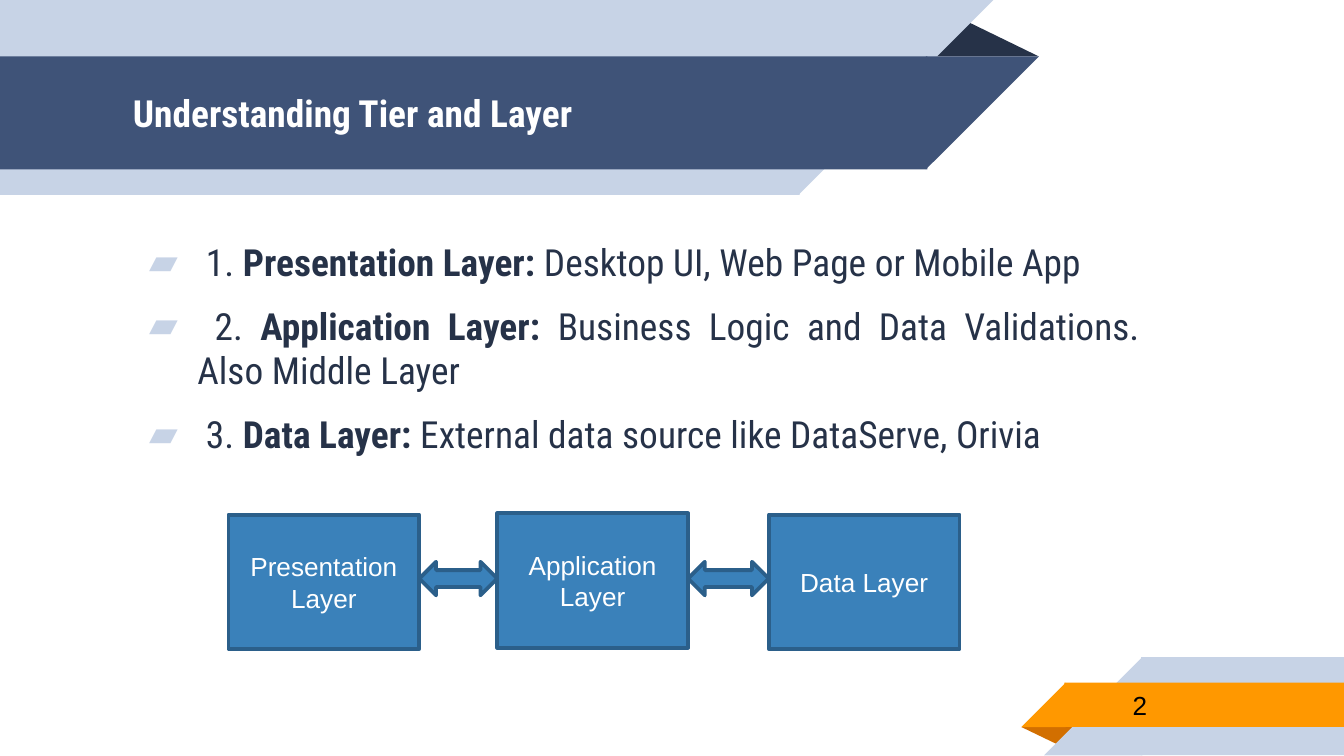
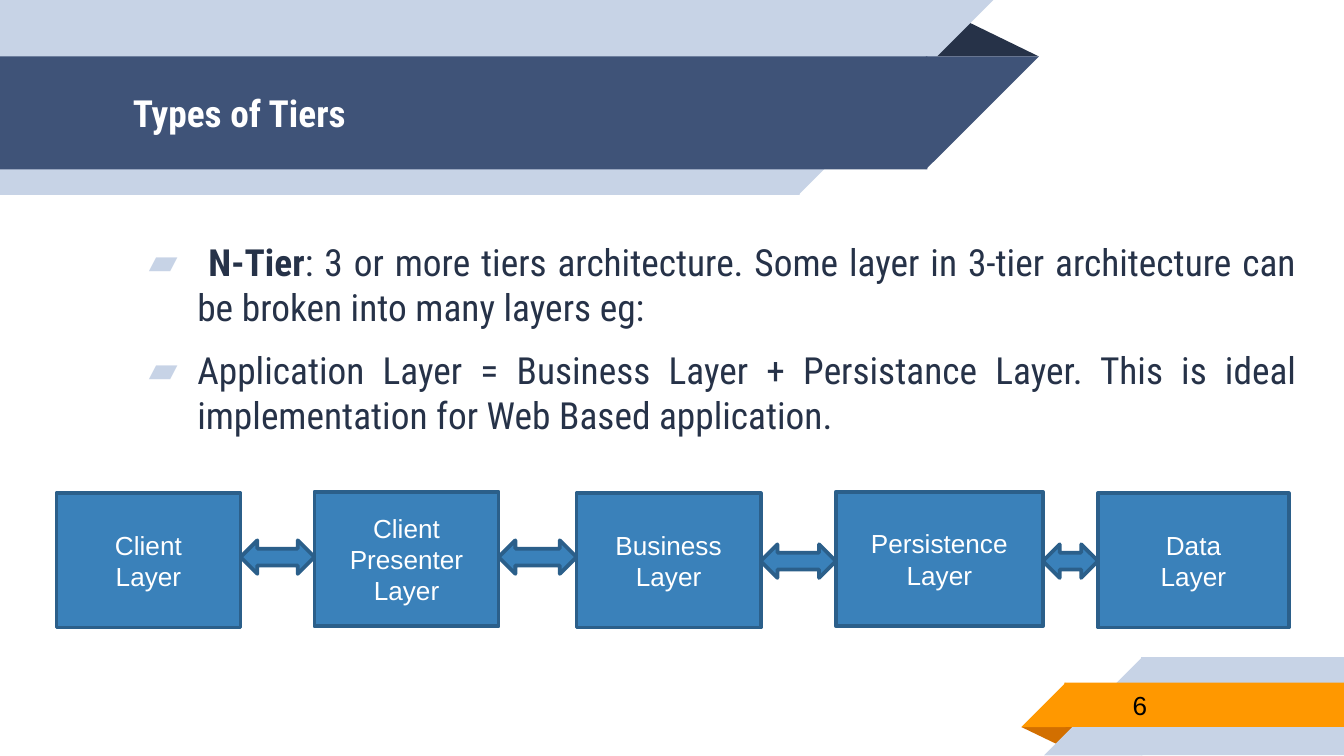
from itertools import pairwise

from lxml import etree
from pptx import Presentation
from pptx import util as u
from pptx.dml.color import RGBColor
from pptx.enum import shapes, text
from pptx.oxml.ns import qn

KIND = shapes.MSO_SHAPE
ALIGN = text.PP_ALIGN
HEADING_FONT, LABEL_FONT = "Roboto Condensed", "Arial"
NAVY, INK, PALE = "3F5378", "263248", "C7D3E6"
ORANGE, RUST = "FF9800", "D26F00"
BLUE, OUTLINE = "3A81BA", "2B5F8A"
WHITE, BLACK = "FFFFFF", "000000"
OVERLAP = 0.01


def color(value):
    return RGBColor.from_string(value)


class SlideBuilder:
    def __init__(self, deck):
        self.deck = deck
        self.slide = None

    def start(self, title, number):
        self.slide = self.deck.slides.add_slide(self.deck.slide_layouts[6])
        self.header()
        self.footer()
        self.label(title, 0.89, 0.42, 5.75, 0.84, HEADING_FONT, 20, WHITE, True)
        self.label(str(number), 8.33, 5.07, 1.63, 0.35, LABEL_FONT, 14, BLACK)

    def shape(self, kind, left, top, width, height, fill, rotation=0, flip=False):
        shape = self.slide.shapes.add_shape(
            kind, *map(u.Inches, (left, top, width, height)))
        shape.shadow.inherit = False
        shape.fill.solid()
        shape.fill.fore_color.rgb = color(fill)
        shape.line.fill.background()
        shape.rotation = rotation
        if flip:
            shape._element.spPr.find(qn("a:xfrm")).set("flipH", "1")
        return shape

    def fold(self, left, top, width, height, fill, rotation=0):
        shape = self.shape(KIND.ISOSCELES_TRIANGLE, left, top, width, height, fill, rotation)
        shape.adjustments[0] = 0.324

    def header_band(self, top, width, height, fill):
        self.shape(KIND.RECTANGLE, 0, top, width + OVERLAP, height, fill)
        self.shape(KIND.RIGHT_TRIANGLE, width, top, height, height, fill, 180, True)

    def footer_band(self, left, top, height, fill):
        self.shape(KIND.RECTANGLE, left - OVERLAP, top, 10 - left + OVERLAP, height, fill)
        self.shape(KIND.RIGHT_TRIANGLE, left - height, top, height, height, fill, flip=True)

    def header(self):
        self.fold(6.88, 0.14, 0.85, 0.28, INK)
        self.header_band(0, 5.94, 1.45, PALE)
        self.header_band(0.42, 6.89, 0.84, NAVY)

    def footer(self):
        self.fold(7.6, 5.41, 0.43, 0.14, RUST, 180)
        self.footer_band(8.5, 4.89, 0.73, PALE)
        self.footer_band(7.93, 5.08, 0.33, ORANGE)

    def text_frame(self, left, top, width, height):
        box = self.slide.shapes.add_textbox(*map(u.Inches, (left, top, width, height)))
        frame = box.text_frame
        frame.word_wrap = True
        frame.margin_left = frame.margin_right = u.Inches(0.1)
        frame.margin_top = frame.margin_bottom = u.Inches(0.1)
        return frame

    def style(self, para, font, size, fill, bold=False):
        para.font.name = font
        para.font.size = u.Pt(size)
        para.font.color.rgb = color(fill)
        para.font.bold = bold

    def label(self, words, left, top, width, height, font, size, fill, bold=False):
        frame = self.text_frame(left, top, width, height)
        frame.vertical_anchor = text.MSO_ANCHOR.MIDDLE
        frame.text = words
        self.style(frame.paragraphs[0], font, size, fill, bold)

    def bullet(self, para):
        props = para._p.get_or_add_pPr()
        props.set("marL", str(u.Inches(0.48)))
        props.set("indent", str(u.Inches(-0.36)))
        bullet_color = etree.Element(qn("a:buClr"))
        etree.SubElement(bullet_color, qn("a:srgbClr"), val=PALE)
        font = etree.Element(qn("a:buFont"), typeface=HEADING_FONT)
        mark = etree.Element(qn("a:buChar"), char="▰")
        defaults = props.find(qn("a:defRPr"))
        for item in (bullet_color, font, mark):
            defaults.addprevious(item)

    def body(self, width, height, items):
        frame = self.text_frame(0.89, 1.68, width, height)
        for index, (align, lead, strong, rest) in enumerate(items):
            para = frame.add_paragraph() if index else frame.paragraphs[0]
            para.alignment = align
            para.space_after = u.Pt(10)
            self.style(para, HEADING_FONT, 20, INK)
            self.bullet(para)
            for words, bold in ((lead, False), (strong, True), (rest, False)):
                if words:
                    span = para.add_run()
                    span.text = words
                    span.font.bold = bold

    def outlined(self, kind, left, top, width, height):
        shape = self.shape(kind, left, top, width, height, BLUE)
        shape.line.color.rgb = color(OUTLINE)
        shape.line.width = u.Pt(2)
        return shape

    def layer(self, left, top, width, words):
        frame = self.outlined(KIND.RECTANGLE, left, top, width, 1).text_frame
        frame.word_wrap = True
        frame.vertical_anchor = text.MSO_ANCHOR.MIDDLE
        frame.text = words
        for para in frame.paragraphs:
            para.alignment = ALIGN.CENTER
            self.style(para, LABEL_FONT, 14, WHITE)

    def chain(self, layers, arrow_tops):
        for layer in layers:
            self.layer(*layer)
        for (before, after), top in zip(pairwise(layers), arrow_tops):
            left = before[0] + before[2]
            self.outlined(KIND.LEFT_RIGHT_ARROW, left, top, after[0] - left, 0.25)


deck = Presentation()
deck.slide_width = u.Inches(10)
deck.slide_height = deck.slide_width * 9 // 16
builder = SlideBuilder(deck)

builder.start("Understanding Tier and Layer", 2)
builder.body(7.69, 1.96, [
    (ALIGN.JUSTIFY, " 1. ", "Presentation Layer:", " Desktop UI, Web Page or Mobile App"),
    (ALIGN.JUSTIFY, " 2. ", "Application Layer: ",
     "Business Logic and Data Validations. Also Middle Layer"),
    (ALIGN.LEFT, " 3. ", "Data Layer:", " External data source like DataServe, Orivia"),
])
builder.chain([
    (1.7, 3.83, 1.42, "Presentation\nLayer"),
    (3.7, 3.82, 1.42, "Application\nLayer"),
    (5.72, 3.83, 1.42, "Data Layer"),
], [4.18, 4.18])

builder.start("Types of Tiers", 6)
builder.body(8.86, 2.98, [
    (ALIGN.JUSTIFY, " ", "N-Tier",
     ": 3 or more tiers architecture. Some layer in 3-tier architecture can "
     "be broken into many layers eg:"),
    (ALIGN.JUSTIFY, "", "",
     "Application Layer = Business Layer + Persistance Layer. This is ideal "
     "implementation for Web Based application."),
])
builder.chain([
    (0.42, 3.67, 1.37, "Client\nLayer"),
    (2.34, 3.66, 1.37, "Client\nPresenter\nLayer"),
    (4.29, 3.67, 1.37, "Business Layer"),
    (6.22, 3.66, 1.54, "Persistence\nLayer"),
    (8.17, 3.67, 1.42, "Data\nLayer"),
], [4.02, 4.02, 4.05, 4.05])

deck.save("out.pptx")
